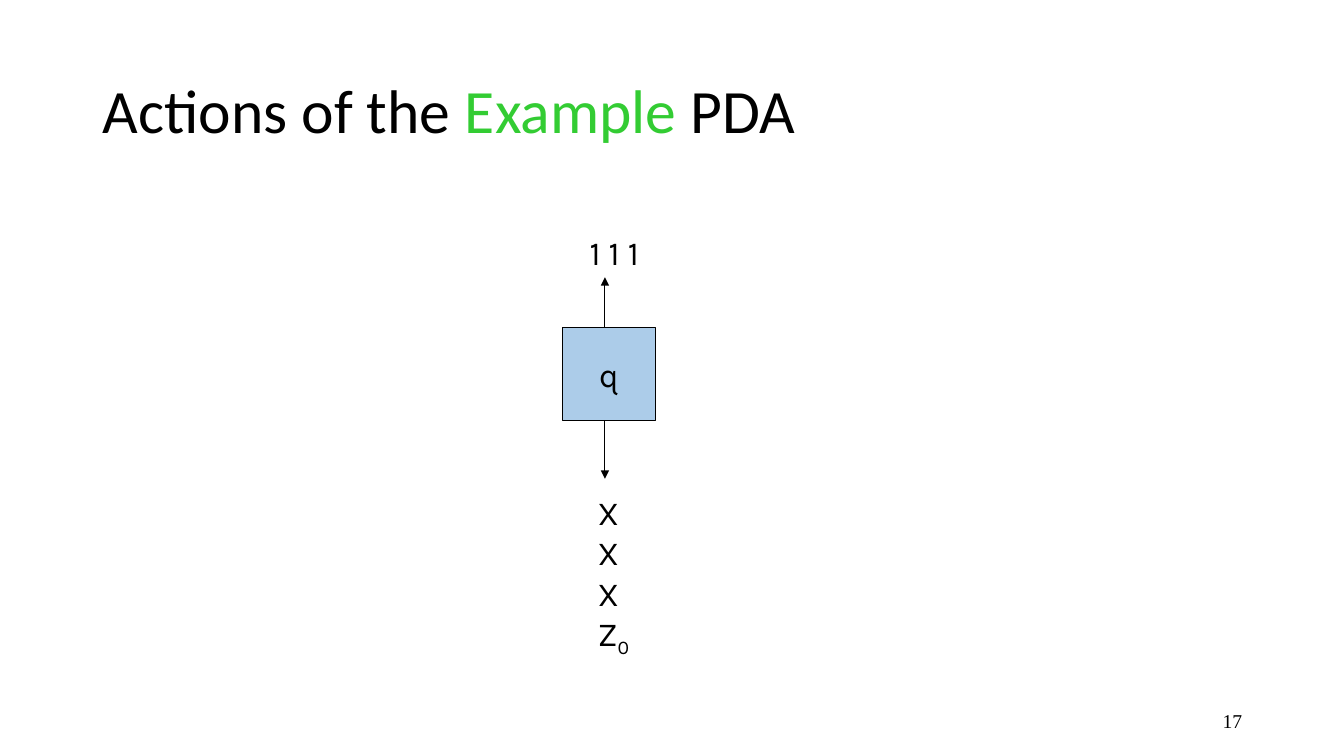
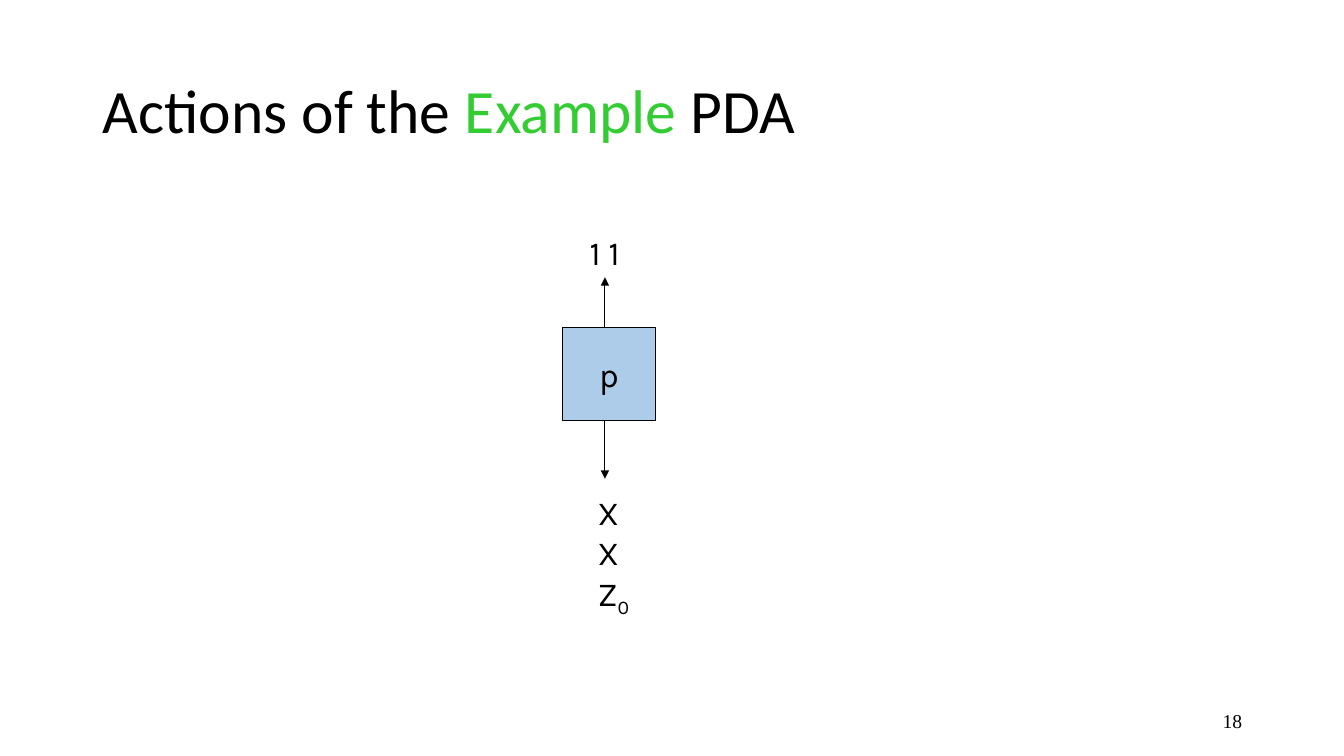
from dataclasses import dataclass

from lxml.etree import SubElement
from pptx import Presentation
from pptx.dml.color import RGBColor
from pptx.enum.shapes import MSO_CONNECTOR, MSO_SHAPE
from pptx.enum.text import MSO_ANCHOR, MSO_AUTO_SIZE, PP_ALIGN
from pptx.oxml.ns import qn
from pptx.slide import Slide
from pptx.text.text import TextFrame
from pptx.util import Inches, Pt

BLACK = RGBColor(0x00, 0x00, 0x00)
GREEN = RGBColor(0x33, 0xCC, 0x33)
BLUE = RGBColor(0x5B, 0x9B, 0xD5)

TITLE_FONT = "Calibri"
DIAGRAM_FONT = "Karla"
NUMBER_FONT = "Times New Roman"

ARROW_X = 6
STATE_LEFT, STATE_TOP, STATE_SIZE = 5.58, 3.25, 0.92
SYMBOL_WIDTH = 0.29
STACK_LINE_HEIGHT = 0.41


@dataclass(frozen=True)
class Span:
    text: str
    color: RGBColor = BLACK
    subscript: bool = False


Line = list[Span]

TITLE: Line = [Span("Actions of the "), Span("Example ", GREEN), Span("PDA")]
STACK_BOTTOM: Line = [Span("Z"), Span("0", subscript=True)]


@dataclass(frozen=True)
class Configuration:
    """A PDA snapshot: state, unread input and the X symbols above Z0."""
    number: int
    state: str
    unread: list[str]
    x_count: int


CONFIGURATIONS = [
    Configuration(17, "q", ["1", "1", "1"], 3),
    Configuration(18, "p", ["1", "1"], 2),
]


def write(frame: TextFrame, lines: list[Line], *, font: str = DIAGRAM_FONT,
          size: float = 24, align: PP_ALIGN = PP_ALIGN.LEFT,
          anchor: MSO_ANCHOR = MSO_ANCHOR.TOP, wrap: bool = False,
          grow: bool = False, spacing: float = 1.0) -> None:
    frame.word_wrap = wrap
    frame.auto_size = MSO_AUTO_SIZE.SHAPE_TO_FIT_TEXT if grow else MSO_AUTO_SIZE.NONE
    frame.vertical_anchor = anchor
    for index, line in enumerate(lines):
        paragraph = frame.add_paragraph() if index else frame.paragraphs[0]
        paragraph.alignment = align
        paragraph.line_spacing = spacing
        for span in line:
            run = paragraph.add_run()
            run.text = span.text
            run.font.name = font
            run.font.size = Pt(size)
            run.font.color.rgb = span.color
            if span.subscript:
                run.font._element.set("baseline", "-25000")


def add_text(slide: Slide, left: float, top: float, width: float, height: float,
             lines: list[Line], **text_format) -> None:
    box = slide.shapes.add_textbox(Inches(left), Inches(top), Inches(width), Inches(height))
    write(box.text_frame, lines, **text_format)


def add_title(slide: Slide) -> None:
    title = slide.shapes.title
    title.left, title.top = Inches(0.92), Inches(0.4)
    title.width, title.height = Inches(11.5), Inches(1.45)
    write(title.text_frame, [TITLE], font=TITLE_FONT, size=44,
          anchor=MSO_ANCHOR.MIDDLE, wrap=True, spacing=0.9)


def add_state(slide: Slide, name: str) -> None:
    square = slide.shapes.add_shape(MSO_SHAPE.RECTANGLE, Inches(STATE_LEFT), Inches(STATE_TOP),
                                    Inches(STATE_SIZE), Inches(STATE_SIZE))
    square.shadow.inherit = False
    square.fill.solid()
    square.fill.fore_color.rgb = BLUE
    color = square._element.spPr.find(qn("a:solidFill")).find(qn("a:srgbClr"))
    SubElement(color, qn("a:alpha")).set("val", "50000")
    square.line.color.rgb = BLACK
    square.line.width = Pt(0.75)
    write(square.text_frame, [[Span(name)]], align=PP_ALIGN.CENTER, anchor=MSO_ANCHOR.MIDDLE)


def add_arrow(slide: Slide, start_y: float, end_y: float) -> None:
    arrow = slide.shapes.add_connector(MSO_CONNECTOR.STRAIGHT, Inches(ARROW_X), Inches(start_y),
                                       Inches(ARROW_X), Inches(end_y))
    arrow.line.color.rgb = BLACK
    arrow.line.width = Pt(0.75)
    SubElement(arrow.line._get_or_add_ln(), qn("a:tailEnd")).set("type", "triangle")
    SubElement(arrow._element.spPr, qn("a:effectLst"))


def add_configuration(slide: Slide, config: Configuration) -> None:
    add_text(slide, 9.42, 6.95, 3, 0.4, [[Span(str(config.number))]], font=NUMBER_FONT,
             size=14, align=PP_ALIGN.RIGHT, anchor=MSO_ANCHOR.MIDDLE, wrap=True)
    add_title(slide)
    add_state(slide, config.state)

    input_width = 0.09 + SYMBOL_WIDTH * len(config.unread)
    add_text(slide, 5.75, 2.25, input_width, 0.5, [[Span(" ".join(config.unread))]], grow=True)
    add_arrow(slide, STATE_TOP, 2.75)

    stack = [[Span("X")]] * config.x_count + [STACK_BOTTOM]
    stack_height = 0.08 + STACK_LINE_HEIGHT * len(stack)
    add_text(slide, 5.83, 4.83, 0.51, stack_height, stack, grow=True)
    add_arrow(slide, STATE_TOP + STATE_SIZE, 4.75)


def main() -> None:
    deck = Presentation()
    deck.slide_width, deck.slide_height = Inches(13.33), Inches(7.5)
    title_only = deck.slide_layouts[5]
    for config in CONFIGURATIONS:
        add_configuration(deck.slides.add_slide(title_only), config)
    deck.save("out.pptx")


if __name__ == "__main__":
    main()
